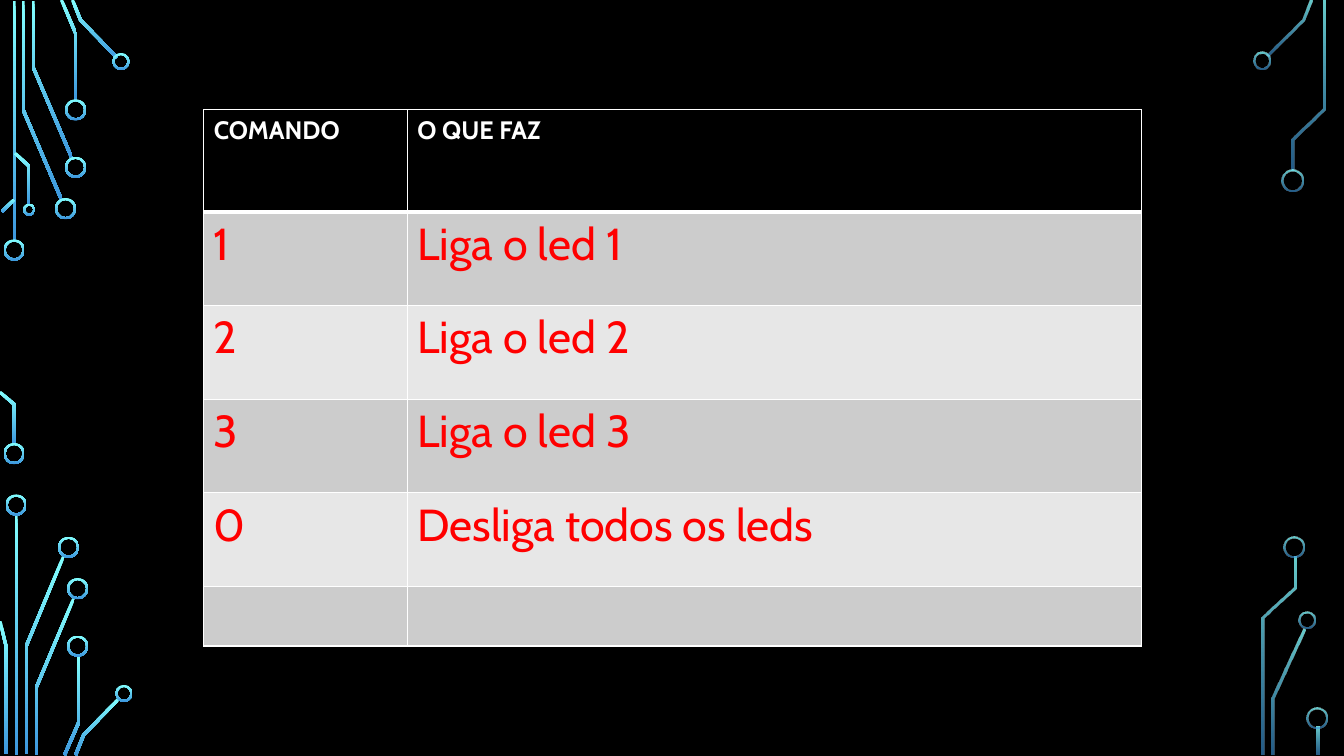
from math import hypot

from lxml.etree import SubElement
from pptx import Presentation
from pptx.dml.color import RGBColor
from pptx.enum.shapes import MSO_SHAPE
from pptx.oxml.ns import qn
from pptx.util import Inches, Pt

BLACK = RGBColor(0x00, 0x00, 0x00)
WHITE = RGBColor(0xFF, 0xFF, 0xFF)
RED = RGBColor(0xFF, 0x00, 0x00)
DARK_BAND = RGBColor(0xCC, 0xCC, 0xCC)
LIGHT_BAND = RGBColor(0xE7, 0xE7, 0xE7)
CYAN = RGBColor(0x82, 0xFF, 0xFF)
BLUE = RGBColor(0x3D, 0x97, 0xDE)

FONT = "Cabin"
TRACE_WIDTH = 0.03
RING_WIDTH = 0.02
LEFT_OPACITY = (100, 100)
RIGHT_OPACITY = (80, 60)

LEFT_TRACES = [
    [(0.14, 0.01), (0.14, 2.4)],
    [(0.23, 0.01), (0.23, 1.09), (0.61, 1.98)],
    [(0.33, 0.01), (0.33, 0.67), (0.71, 1.56)],
    [(0.61, 0), (0.75, 0.33), (0.75, 1)],
    [(0.72, 0), (0.8, 0.2), (1.16, 0.57)],
    [(0.02, 2.1), (0.14, 1.98)],
    [(0, 3.89), (0.14, 4.01), (0.14, 4.41)],
    [(0.15, 1.52), (0.29, 1.65), (0.29, 2.03)],
    [(0.16, 5.1), (0.16, 7.49)],
    [(0.26, 7.48), (0.26, 6.41), (0.63, 5.52)],
    [(0.06, 7.48), (0.06, 6.41), (0, 6.16)],
    [(0.36, 7.49), (0.36, 6.82), (0.73, 5.94)],
    [(0.64, 7.49), (0.78, 7.17), (0.78, 6.5)],
    [(0.75, 7.49), (0.83, 7.29), (1.18, 6.93)],
]
LEFT_RINGS = [
    (0.14, 2.48, 0.21), (0.14, 4.5, 0.21), (0.65, 2.07, 0.21),
    (0.75, 1.66, 0.21), (0.75, 1.09, 0.21), (1.2, 0.61, 0.17),
    (0.29, 2.08, 0.12), (0.16, 5.01, 0.21), (0.68, 5.43, 0.21),
    (0.77, 5.84, 0.21), (0.77, 6.41, 0.21), (1.23, 6.88, 0.17),
]
RIGHT_TRACES = [
    [(12.57, 0.55), (12.92, 0.2), (13, 0)],
    [(12.63, 7.49), (12.63, 6.93), (12.93, 6.24)],
    [(12.82, 1.69), (12.82, 1.38), (13.13, 1.08), (13.13, 0.01)],
    [(12.53, 7.49), (12.53, 6.13), (12.84, 5.83), (12.84, 5.52)],
    [(13.07, 7.21), (13.07, 7.49)],
]
RIGHT_RINGS = [
    (12.52, 0.6, 0.17), (12.82, 1.79, 0.21), (12.96, 6.15, 0.17),
    (12.83, 5.43, 0.21), (13.06, 7.12, 0.21),
]

COMMAND_ROWS = [
    ("COMANDO", "O QUE FAZ"),
    ("1", "Liga o led 1"),
    ("2", "Liga o led 2"),
    ("3", "Liga o led 3"),
    ("0", "Desliga todos os leds"),
    ("", ""),
]
COLUMN_WIDTHS = [2.02, 7.28]
ROW_HEIGHTS = [1.01, 0.93, 0.93, 0.93, 0.93, 0.59]


def paint_circuit(shape, opacity):
    """Fill a circuit part with the vertical cyan to blue gradient."""
    shape.shadow.inherit = False
    shape.line.fill.background()
    shape.fill.gradient()
    shape.fill.gradient_angle = 270
    stops = shape.fill.gradient_stops
    for stop, color, position in zip(stops, (CYAN, BLUE), (0, 1)):
        stop.color.rgb = color
        stop.position = position
    for color, percent in zip(shape._element.spPr.iter(qn("a:srgbClr")), opacity):
        if percent < 100:
            SubElement(color, qn("a:alpha"), val=str(percent * 1000))


def trace_side(points, offset):
    """Return the points of a trace moved sideways, with mitred corners."""
    normals = []
    for (x1, y1), (x2, y2) in zip(points, points[1:]):
        length = hypot(x2 - x1, y2 - y1)
        normals.append(((y1 - y2) / length, (x2 - x1) / length))
    befores = normals[:1] + normals
    afters = normals + normals[-1:]
    side = []
    for (x, y), (ax, ay), (bx, by) in zip(points, befores, afters):
        scale = offset / (1 + ax * bx + ay * by)
        side.append((Inches(x + (ax + bx) * scale), Inches(y + (ay + by) * scale)))
    return side


def add_trace(slide, points, opacity):
    """Draw one circuit trace as a thin outline around its centre line."""
    half = TRACE_WIDTH / 2
    outline = trace_side(points, half) + trace_side(points, -half)[::-1]
    builder = slide.shapes.build_freeform(*outline[0])
    builder.add_line_segments(outline[1:], close=True)
    paint_circuit(builder.convert_to_shape(), opacity)


def add_ring(slide, center_x, center_y, diameter, opacity):
    """Draw the ring that ends a trace."""
    ring = slide.shapes.add_shape(
        MSO_SHAPE.DONUT,
        Inches(center_x - diameter / 2), Inches(center_y - diameter / 2),
        Inches(diameter), Inches(diameter),
    )
    ring.adjustments[0] = RING_WIDTH / diameter
    paint_circuit(ring, opacity)


def add_circuit(slide, traces, rings, opacity):
    """Draw all traces and rings of one side."""
    for points in traces:
        add_trace(slide, points, opacity)
    for ring in rings:
        add_ring(slide, *ring, opacity)


def set_borders(cell, top, bottom):
    """Give a cell white borders, with its top and bottom widths in points."""
    properties = cell._tc.get_or_add_tcPr()
    for side, width in (("L", 1), ("R", 1), ("T", top), ("B", bottom)):
        line = SubElement(properties, qn(f"a:ln{side}"), w=str(Pt(width)))
        fill = SubElement(line, qn("a:solidFill"))
        SubElement(fill, qn("a:srgbClr"), val=str(WHITE))


def fill_cell(cell, text, row_index):
    """Format a cell by its row and write its text."""
    header = row_index == 0
    set_borders(cell, 3 if row_index == 1 else 1, 3 if header else 1)
    cell.fill.solid()
    band = DARK_BAND if row_index % 2 else LIGHT_BAND
    cell.fill.fore_color.rgb = BLACK if header else band
    if text:
        run = cell.text_frame.paragraphs[0].add_run()
        run.text = text
        run.font.name = FONT
        run.font.size = Pt(18 if header else 32)
        run.font.bold = header
        run.font.color.rgb = WHITE if header else RED


def add_command_table(slide):
    """Add the table of commands."""
    table = slide.shapes.add_table(
        len(ROW_HEIGHTS), len(COLUMN_WIDTHS), Inches(2.02), Inches(1.09),
        Inches(sum(COLUMN_WIDTHS)), Inches(sum(ROW_HEIGHTS)),
    ).table
    for column, width in zip(table.columns, COLUMN_WIDTHS):
        column.width = Inches(width)
    for row_index, (row, height) in enumerate(zip(table.rows, ROW_HEIGHTS)):
        row.height = Inches(height)
        for cell, text in zip(row.cells, COMMAND_ROWS[row_index]):
            fill_cell(cell, text, row_index)


def main():
    """Build the slide and save it."""
    presentation = Presentation()
    presentation.slide_width = Inches(13.33)
    presentation.slide_height = Inches(7.5)
    slide = presentation.slides.add_slide(presentation.slide_layouts[6])
    slide.background.fill.solid()
    slide.background.fill.fore_color.rgb = BLACK
    add_circuit(slide, LEFT_TRACES, LEFT_RINGS, LEFT_OPACITY)
    add_circuit(slide, RIGHT_TRACES, RIGHT_RINGS, RIGHT_OPACITY)
    add_command_table(slide)
    presentation.save("out.pptx")


if __name__ == "__main__":
    main()
